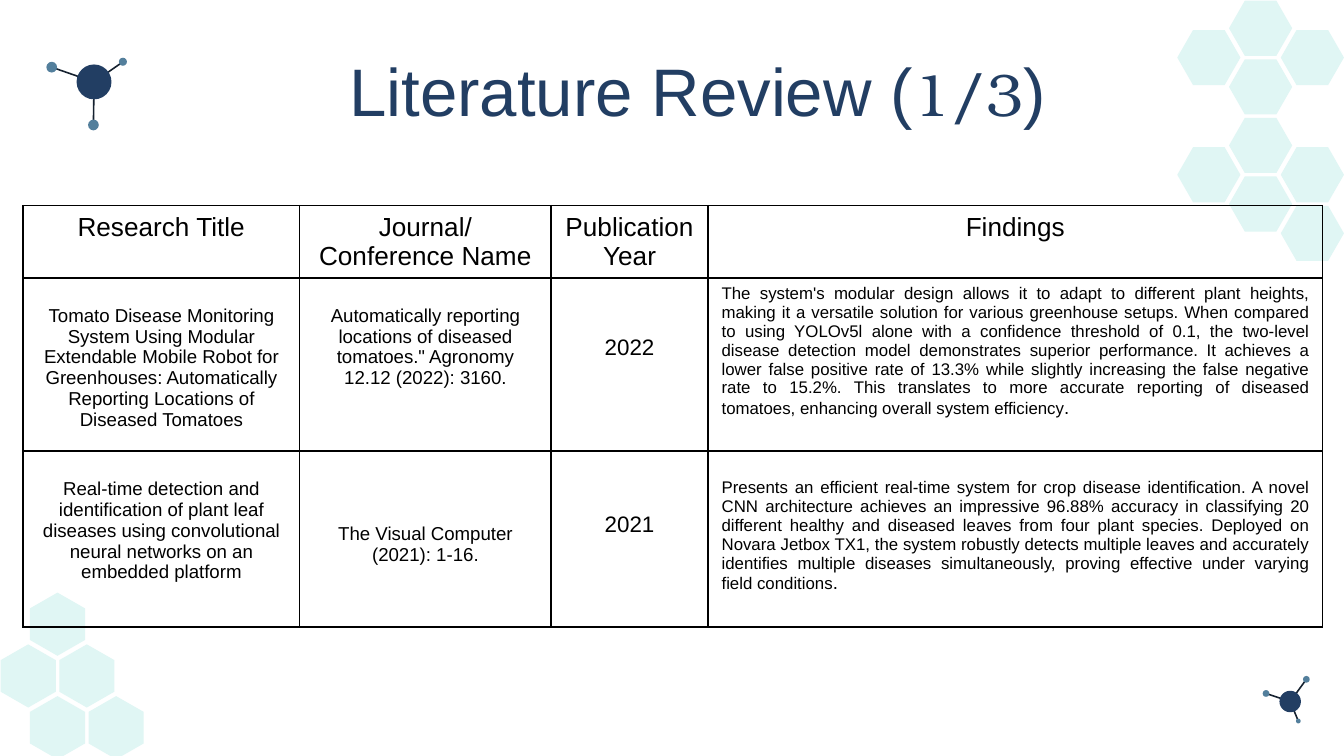
import pptx
import pptx.dml.color
import pptx.enum.shapes
import pptx.enum.text
import pptx.oxml
import pptx.oxml.ns
import pptx.util

UNIT = 91440  # the grid has 100 columns, each a tenth of an inch, with square cells
COLUMNS, ROWS = 100, 56.25
NAVY, STEEL, INK, MINT, BLACK = "223E63", "537F9C", "15212F", "E0F6F4", "000000"
ALIGN = pptx.enum.text.PP_ALIGN
ANCHOR_TOP = pptx.enum.text.MSO_ANCHOR.TOP
HEX_WIDTH, HEX_HEIGHT = 4.1, 4.7
HEX_CORNERS = [(0, -0.5), (0.5, -0.25), (0.5, 0.25), (0, 0.5), (-0.5, 0.25), (-0.5, -0.25)]


def grid(count):
    return pptx.util.Emu(round(count * UNIT))


def colour(hex_string):
    return pptx.dml.color.RGBColor.from_string(hex_string)


def assign(target, values):
    for name, value in values.items():
        setattr(target, name, value)


class Painter:
    """Holds the text style and the page being drawn."""

    font = "Arial"

    def __init__(self, page):
        self.page = page
        self.shapes = page.shapes

    def add_spans(self, para, spans, align, text_colour):
        """Fill a paragraph with (text, size, font) spans; font may be left out."""
        para.alignment = align
        for text, size, *font in spans:
            span = para.add_run()
            span.text = text
            assign(span.font, {"size": pptx.util.Pt(size), "name": font[0] if font else self.font})
            span.font.color.rgb = colour(text_colour)

    def title(self, left, top, width, height, spans):
        box = self.shapes.title
        assign(box, {"left": grid(left), "top": grid(top),
                     "width": grid(width), "height": grid(height)})
        margins = {f"margin_{side}": grid(1) for side in ("left", "top", "right", "bottom")}
        assign(box.text_frame, {"word_wrap": True, "vertical_anchor": ANCHOR_TOP, **margins,
                                "auto_size": pptx.enum.text.MSO_AUTO_SIZE.NONE})
        self.add_spans(box.text_frame.paragraphs[0], spans, ALIGN.CENTER, NAVY)

    def paint(self, shape, fill):
        shape.shadow.inherit = False
        shape.fill.solid()
        shape.fill.fore_color.rgb = colour(fill)
        shape.line.fill.background()

    def hexagon(self, x, y, rotation=0):
        corners = [(grid(x + dx * HEX_WIDTH), grid(y + dy * HEX_HEIGHT)) for dx, dy in HEX_CORNERS]
        builder = self.shapes.build_freeform(*corners[0])
        builder.add_line_segments(corners[1:], close=True)
        shape = builder.convert_to_shape()
        shape.rotation = rotation
        self.paint(shape, MINT)

    def disc(self, x, y, size, fill):
        oval = pptx.enum.shapes.MSO_SHAPE.OVAL
        shape = self.shapes.add_shape(oval, grid(x - size / 2), grid(y - size / 2),
                                      grid(size), grid(size))
        self.paint(shape, fill)

    def bond(self, start, end):
        straight = pptx.enum.shapes.MSO_CONNECTOR.STRAIGHT
        line = self.shapes.add_connector(straight, *map(grid, start + end))
        line.line.width = pptx.util.Pt(0.85)
        line.line.color.rgb = colour(INK)
        line._element.spPr.append(
            pptx.oxml.parse_xml(f"<a:effectLst {pptx.oxml.ns.nsdecls('a')}/>"))

    def molecule(self, centre, size, atoms):
        """Draw a core disc bonded to smaller (x, y, size) atoms."""
        for x, y, _ in atoms:
            self.bond(centre, (x, y))
        self.disc(*centre, size, NAVY)
        for atom in atoms:
            self.disc(*atom, STEEL)

    def border(self, cell):
        properties = cell._tc.get_or_add_tcPr()
        for side in "LRTB":
            properties.append(pptx.oxml.parse_xml(
                f'<a:ln{side} {pptx.oxml.ns.nsdecls("a")} w="12700"><a:solidFill>'
                f'<a:srgbClr val="{BLACK}"/></a:solidFill></a:ln{side}>'))

    def table(self, left, top, widths, heights, rows):
        """Each cell is given as (top margin, alignment, spans)."""
        frame = self.shapes.add_table(len(heights), len(widths), grid(left), grid(top),
                                      grid(sum(widths)), grid(sum(heights)))
        table = frame.table
        assign(table, {"first_row": False, "horz_banding": False})
        for column, width in zip(table.columns, widths):
            column.width = grid(width)
        for row, height, contents in zip(table.rows, heights, rows):
            row.height = grid(height)
            for cell, (margin, align, spans) in zip(row.cells, contents):
                assign(cell, {"margin_left": grid(1), "margin_right": grid(1),
                              "margin_top": grid(margin), "margin_bottom": grid(0.5),
                              "vertical_anchor": ANCHOR_TOP})
                self.border(cell)
                cell.fill.background()
                self.add_spans(cell.text_frame.paragraphs[0], spans, align, BLACK)


HEADINGS = ["Research Title", "Journal/Conference Name", "Publication Year", "Findings"]
STUDIES = [
    [(2.05, ALIGN.CENTER, [("Tomato Disease Monitoring System Using Modular Extendable Mobile "
                            "Robot for Greenhouses: Automatically Reporting Locations of "
                            "Diseased Tomatoes", 10)]),
     (2.05, ALIGN.CENTER, [("Automatically reporting locations of diseased tomatoes.\" "
                            "Agronomy 12.12 (2022): 3160.", 10)]),
     (4.3, ALIGN.CENTER, [("2022", 12)]),
     (0.5, ALIGN.JUSTIFY, [
         ("The system's modular design allows it to adapt to different plant heights, making it "
          "a versatile solution for various greenhouse setups. When compared to using YOLOv5l "
          "alone with a confidence threshold of 0.1, the two-level disease detection model "
          "demonstrates superior performance. It achieves a lower false positive rate of 13.3% "
          "while slightly increasing the false negative rate to 15.2%. This translates to more "
          "accurate reporting of diseased tomatoes, enhancing overall system efficiency", 9),
         (".", 10)])],
    [(2.05, ALIGN.CENTER, [("Real-time detection and identification of plant leaf diseases using "
                            "convolutional neural networks on an embedded platform", 10)]),
     (5.4, ALIGN.CENTER, [("The Visual Computer (2021): 1-16.", 10)]),
     (4.5, ALIGN.CENTER, [("2021", 12)]),
     (2.05, ALIGN.JUSTIFY, [
         ("Presents an efficient real-time system for crop disease identification. A novel CNN "
          "architecture achieves an impressive 96.88% accuracy in classifying 20 different "
          "healthy and diseased leaves from four plant species. Deployed on Novara Jetbox TX1, "
          "the system robustly detects multiple leaves and accurately identifies multiple "
          "diseases simultaneously, proving effective under varying field conditions", 9),
         (".", 10)])],
]
# Positions on the honeycomb: (step along the short pitch, step along the long pitch)
SHORT_PITCH, LONG_PITCH = 2.18, 3.85
LOWER_COMB = [(2, 1), (0, 1), (1, 0), (3, 2), (1, 2)]
UPPER_COMB = [(2, 1), (0, 1), (1, 0), (1, 2), (6, 1), (4, 1), (5, 0), (7, 2), (5, 2)]


def main():
    deck = pptx.Presentation()
    assign(deck, {"slide_width": grid(COLUMNS), "slide_height": grid(ROWS)})
    painter = Painter(deck.slides.add_slide(deck.slide_layouts[5]))

    painter.molecule((7, 6.1), 2.6, [(6.95, 9.3, 0.8), (3.85, 5, 0.8), (9.15, 4.6, 0.6)])
    painter.molecule((96, 52.2), 1.6, [(94.2, 51.6, 0.5), (97.2, 50.55, 0.5), (96.6, 53.65, 0.35)])
    for short, long in LOWER_COMB:
        painter.hexagon(2.1 + short * SHORT_PITCH, 46.45 + long * LONG_PITCH)
    for short, long in UPPER_COMB:
        painter.hexagon(89.95 + long * LONG_PITCH, 2.1 + short * SHORT_PITCH, rotation=270)

    painter.title(10.4, 2.7, 83, 6.3, [("Literature Review (", 36),
                                       ("1/3", 32, "TeX Gyre Bonum"), (")", 36)])
    header = [(0.5, ALIGN.CENTER, [(heading, 14)]) for heading in HEADINGS]
    painter.table(1.7, 15.3, [20.6, 18.7, 11.7, 45.7], [5.3, 12.9, 13.1], [header] + STUDIES)
    deck.save("out.pptx")


if __name__ == "__main__":
    main()
